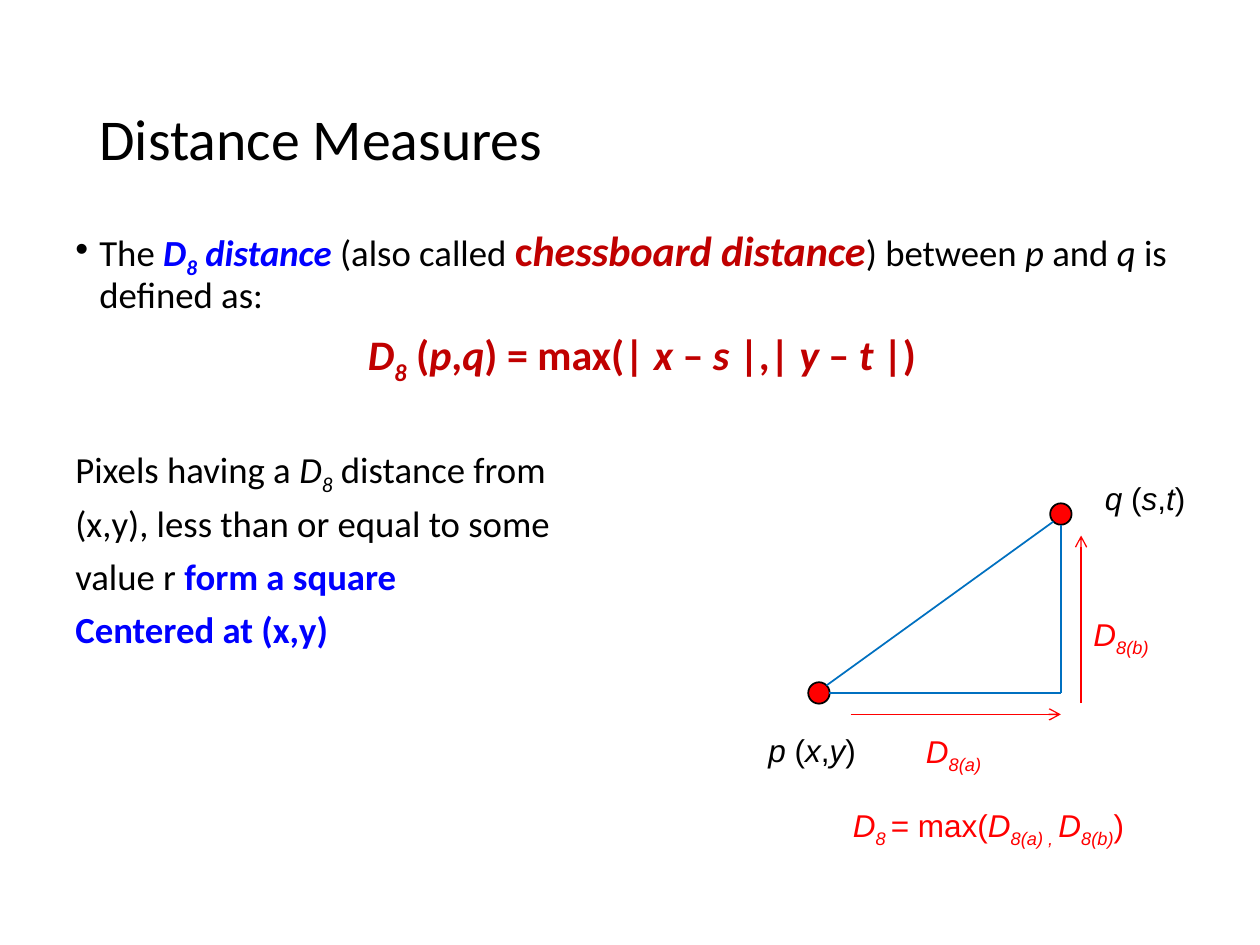
from lxml.etree import SubElement
from pptx import Presentation
from pptx.dml.color import RGBColor
from pptx.enum.shapes import MSO_CONNECTOR as Connector, MSO_SHAPE as Shape
from pptx.enum.text import MSO_ANCHOR as Anchor, PP_ALIGN as Align
from pptx.oxml.ns import qn
from pptx.util import Inches, Pt

BLACK, RED, BLUE = "000000", "FF0000", "0000FF"
CRIMSON, EDGE_BLUE = "C00000", "0070C0"


def color(value):
    return RGBColor.from_string(value)


def add_textbox(slide, left, top, width, height):
    box = slide.shapes.add_textbox(Inches(left), Inches(top), Inches(width), Inches(height))
    box.text_frame.word_wrap = True
    return box.text_frame


def write(paragraph, runs, size, font_name, font_color):
    paragraph.font.name = font_name
    paragraph.font.size = Pt(size)
    paragraph.font.color.rgb = color(font_color)
    for text, flags, *accent in runs:
        run = paragraph.add_run()
        run.text = text
        if "b" in flags:
            run.font.bold = True
        if "i" in flags:
            run.font.italic = True
        if "_" in flags:
            run.font._element.set("baseline", "-25000")
        if accent:
            run.font.color.rgb = color(accent[0])
            run.font.size = Pt(accent[1])


def add_title(slide, left, top, width, height):
    frame = add_textbox(slide, left, top, width, height)
    frame.vertical_anchor = Anchor.MIDDLE
    paragraph = frame.paragraphs[0]
    paragraph.line_spacing = 0.9
    write(paragraph, [("Distance Measures", "")], 33, "Calibri", BLACK)


def indent(paragraph, margin, first_line=0.0, bullet=None):
    properties = paragraph._p.get_or_add_pPr()
    properties.set("marL", str(Inches(margin)))
    properties.set("indent", str(Inches(first_line)))
    if bullet:
        SubElement(properties, qn("a:buFont")).set("typeface", "Arial")
        SubElement(properties, qn("a:buChar")).set("char", bullet)


def add_body(slide, left, top, width, height):
    definition = [
        ("The ", ""), ("D", "bi", BLUE, 21), ("8", "bi_", BLUE, 21),
        (" distance ", "bi", BLUE, 21), ("(also called ", ""),
        ("c", "b", CRIMSON, 24), ("hessboard distance", "bi", CRIMSON, 24),
        (") between ", ""), ("p", "i"), (" and ", ""), ("q", "i"), (" is defined as:", ""),
    ]
    formula = [
        ("D", "bi"), ("8", "bi_"), (" (", "b"), ("p", "bi"), (",", "b"), ("q", "bi"),
        (") = max(| ", "b"), ("x", "bi"), (" – ", "b"), ("s ", "bi"), ("|,| ", "b"),
        ("y", "bi"), (" – ", "b"), ("t ", "bi"), ("|)", "b"),
    ]
    remarks = [
        [("Pixels having a ", ""), ("D", "i"), ("8", "i_"), (" distance from", "")],
        [("(x,y), less than or equal to some", "")],
        [("value r ", ""), ("form a square", "b", BLUE, 21)],
        [("Centered at (x,y)", "b", BLUE, 21)],
    ]
    frame = add_textbox(slide, left, top, width, height)
    first = frame.paragraphs[0]
    indent(first, 0.19, -0.19, "•")
    first.line_spacing = 0.9
    write(first, definition, 21, "Calibri", BLACK)

    centered = frame.add_paragraph()
    indent(centered, 0.19)
    centered.alignment = Align.CENTER
    centered.line_spacing = 0.9
    centered.space_before = Pt(7.5)
    write(centered, formula, 24, "Calibri", CRIMSON)

    for index, runs in enumerate(remarks):
        paragraph = frame.add_paragraph()
        paragraph.line_spacing = 0.9
        paragraph.space_before = Pt(7.5 if index else 38)
        write(paragraph, runs, 21, "Calibri", BLACK)


def add_point(slide, center_x, center_y, diameter=0.17):
    point = slide.shapes.add_shape(
        Shape.OVAL, Inches(center_x - diameter / 2), Inches(center_y - diameter / 2),
        Inches(diameter), Inches(diameter))
    point.shadow.inherit = False
    point.fill.solid()
    point.fill.fore_color.rgb = color(RED)
    point.line.color.rgb = color(BLACK)
    point.line.width = Pt(1)


def add_line(slide, start, end, line_color, width, arrow=False):
    line = slide.shapes.add_connector(
        Connector.STRAIGHT, *(Inches(value) for value in (*start, *end)))
    line.line.color.rgb = color(line_color)
    line.line.width = Pt(width)
    if arrow:
        SubElement(line.line._get_or_add_ln(), qn("a:tailEnd")).set("type", "arrow")
    SubElement(line._element.spPr, qn("a:effectLst"))


def add_label(slide, left, top, width, runs, font_color):
    frame = add_textbox(slide, left, top, width, 0.4)
    write(frame.paragraphs[0], runs, 18, "Arial", font_color)


def point_name(name, first, second):
    return [(name, "i"), (" (", ""), (first, "i"), (",", ""), (second, "i"), (")", "")]


def add_triangle_diagram(slide, left, top):
    p_x, p_y = left + 0.5, top + 1.75
    q_x, q_y = left + 2.42, top + 0.33
    add_point(slide, p_x, p_y)
    add_point(slide, q_x, q_y)

    corner = (q_x, p_y)
    add_line(slide, (p_x + 0.06, p_y - 0.06), (q_x - 0.06, q_y + 0.06), EDGE_BLUE, 1)
    add_line(slide, (q_x, q_y + 0.09), corner, EDGE_BLUE, 1)
    add_line(slide, corner, (p_x + 0.08, p_y), EDGE_BLUE, 1)
    add_line(slide, (q_x + 0.16, p_y + 0.08), (q_x + 0.16, q_y + 0.17), RED, 0.75, True)
    add_line(slide, (p_x + 0.25, p_y + 0.17), (q_x, p_y + 0.17), RED, 0.75, True)

    add_label(slide, left, top + 2, 1.08, point_name("p", "x", "y"), BLACK)
    add_label(slide, left + 2.67, top, 1.08, point_name("q", "s", "t"), BLACK)
    side_a = [("D", "i"), ("8(a)", "i_")]
    side_b = [("D", "i"), ("8(b)", "i_")]
    add_label(slide, left + 2.58, top + 1.08, 0.92, side_b, RED)
    add_label(slide, left + 1.25, top + 2.01, 0.92, side_a, RED)
    result = [("D", "i"), ("8 ", "i_"), ("= max(", ""), *side_a, (" , ", "i_"), *side_b, (")", "")]
    add_label(slide, left + 0.67, top + 2.6, 2.5, result, RED)


def main():
    presentation = Presentation()
    presentation.slide_width = Inches(10)
    presentation.slide_height = Inches(7.5)
    slide = presentation.slides.add_slide(presentation.slide_layouts[6])
    add_title(slide, 0.69, 0.4, 8.62, 1.45)
    add_body(slide, 0.5, 1.75, 9, 5.25)
    add_triangle_diagram(slide, 6, 3.75)
    presentation.save("out.pptx")


if __name__ == "__main__":
    main()
